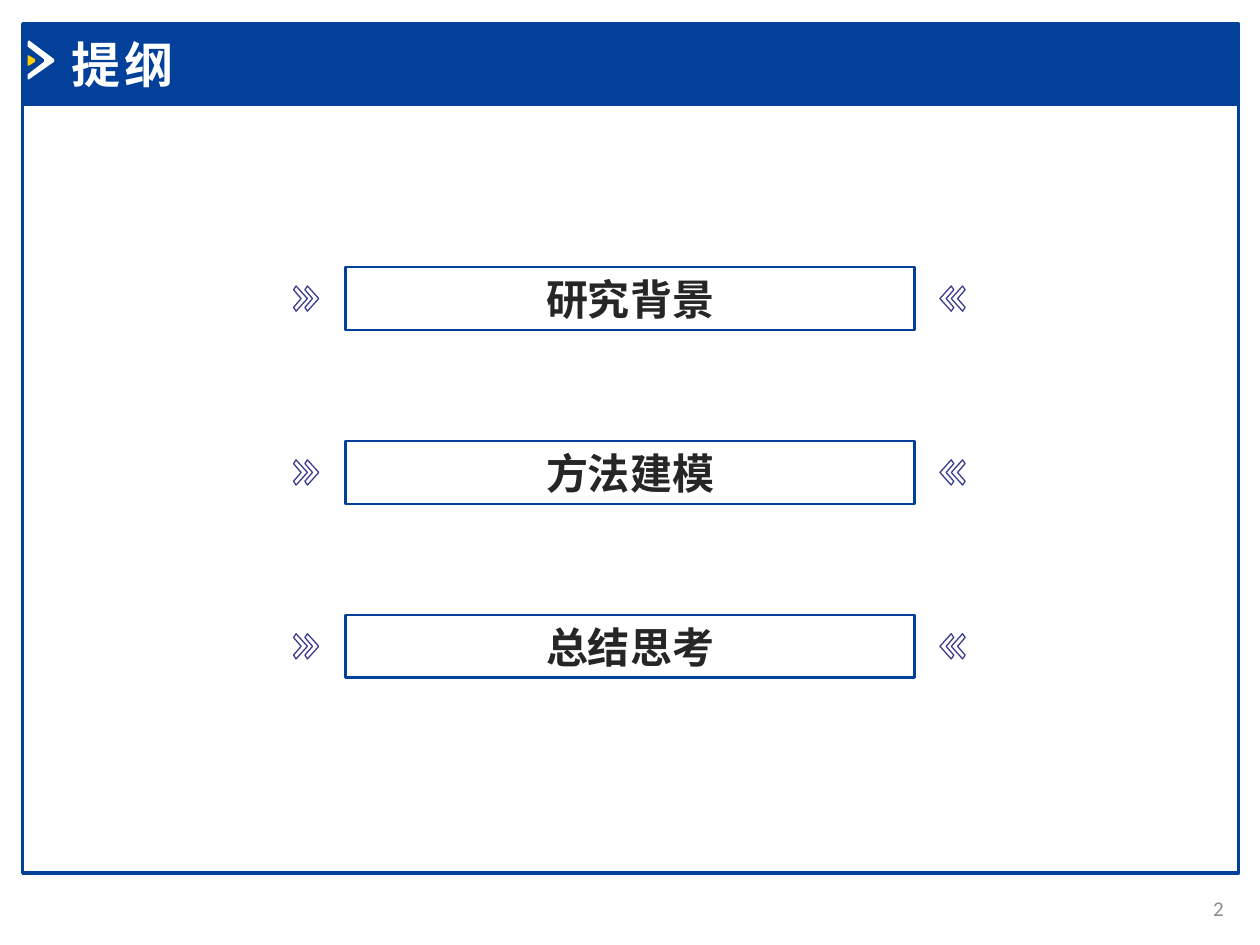
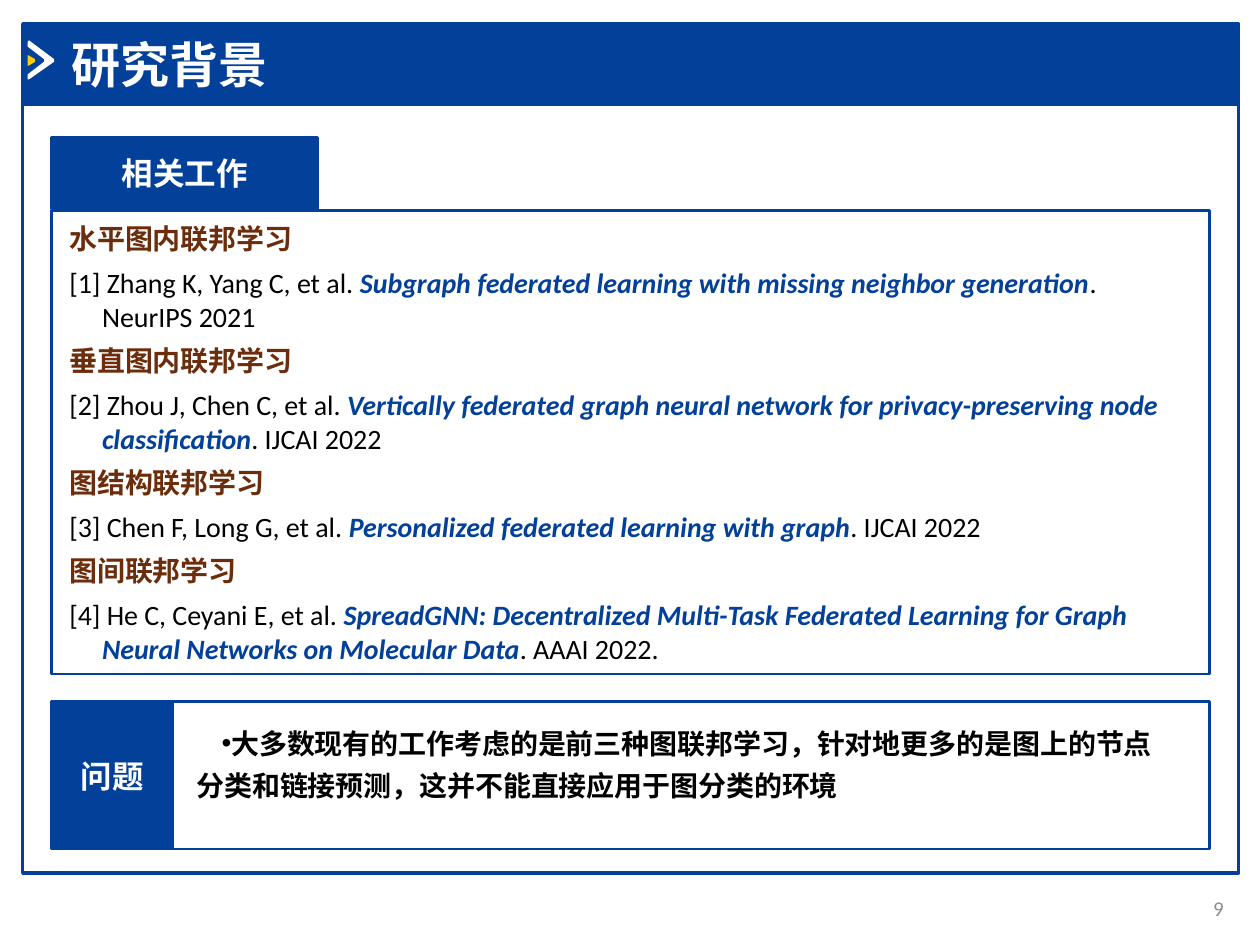
from pptx import Presentation
from pptx.dml.color import RGBColor
from pptx.enum.shapes import MSO_SHAPE
from pptx.enum.text import MSO_ANCHOR as ANCHOR, MSO_AUTO_SIZE as AUTO, PP_ALIGN as ALIGN
from pptx.oxml.ns import qn
from pptx.util import Inches, Pt
from lxml import etree

BLUE, WHITE, YELLOW, BROWN = "02409A", "FFFFFF", "FFCC00", "6B2D0B"
INK, GREY, BLACK, VIOLET = "262626", "8C8C8C", "000000", "3C3C8E"
LATIN, CJK = "Calibri", "Noto Sans CJK SC"
RECT = MSO_SHAPE.RECTANGLE


def paint(sp, fill=None, line=None, width=1.5):
    sp.shadow.inherit = False
    for part, color in ((sp.fill, fill), (sp.line.fill, line)):
        if color:
            part.solid()
            part.fore_color.rgb = RGBColor.from_string(color)
        else:
            part.background()
    if line:
        sp.line.width = Pt(width)
    return sp


def write(p, text, color, size, name=LATIN, **fmt):
    r = p.add_run()
    r.text = text
    for key, value in dict(fmt, name=name, size=Pt(size)).items():
        setattr(r.font, key, value)
    r.font.color.rgb = RGBColor.from_string(color)
    etree.SubElement(r.font._element, qn("a:ea"), typeface=CJK)
    return r


prs = Presentation()
prs.slide_width, prs.slide_height = Inches(10), Inches(7.5)
outline = prs.slides.add_slide(prs.slide_layouts[5])
background = prs.slides.add_slide(prs.slide_layouts[1])

frame = []
for top, height, fill in ((0.83, 6.1, None), (0.19, 0.64, BLUE)):
    sp = outline.shapes.add_shape(RECT, *map(Inches, (0.18, top, 9.65, height)))
    frame.append(paint(sp, fill, BLUE, 2))
big_arrow = [(0.22, 0.33), (0.23, 0.32), (0.43, 0.47), (0.43, 0.49), (0.23, 0.63),
             (0.22, 0.63), (0.22, 0.59), (0.35, 0.49), (0.35, 0.47), (0.22, 0.37)]
small_arrow = [(0.22, 0.44), (0.23, 0.44), (0.28, 0.47), (0.28, 0.49), (0.23, 0.52), (0.22, 0.52)]
for outline_points, fill in ((big_arrow, WHITE), (small_arrow, YELLOW)):
    pts = [(Inches(x), Inches(y)) for x, y in outline_points]
    fb = outline.shapes.build_freeform(*pts[0])
    fb.add_line_segments(pts[1:])
    frame.append(paint(fb.convert_to_shape(), fill))
for i, sp in enumerate(frame):
    sp.element.xpath(".//p:cNvPr")[0].set("id", str(100 + i))
    prs.slide_master.shapes.element.insert(2 + i, sp.element)

for s, title, width, font, spacing, number in (
    (outline, "提纲", 3.56, LATIN, 200, "2"),
    (background, "研究背景", 4.98, "Arial", -10, "9"),
):
    sp = s.shapes.title
    sp.left, sp.top, sp.width, sp.height = map(Inches, (0.47, 0.22, width, 0.57))
    tf = sp.text_frame
    tf.auto_size, tf.vertical_anchor = AUTO.NONE, ANCHOR.MIDDLE
    p = tf.paragraphs[0]
    p.alignment = ALIGN.LEFT
    r = write(p, title, WHITE, 28, font, bold=True)
    r.font._element.set("spc", str(spacing))

    tf = s.shapes.add_textbox(*map(Inches, (9.22, 7.01, 0.59, 0.4))).text_frame
    tf.word_wrap, tf.vertical_anchor = True, ANCHOR.MIDDLE
    p = tf.paragraphs[0]
    p.alignment = ALIGN.RIGHT
    write(p, number, GREY, 12)

chevron = [(0.02, 0), (0, 0.03), (0.06, 0.1), (0, 0.17), (0.02, 0.2), (0.11, 0.1)]
for i, topic in enumerate(("研究背景", "方法建模", "总结思考")):
    top = 2.12 + 1.38 * i
    sp = paint(outline.shapes.add_shape(RECT, *map(Inches, (2.74, top, 4.52, 0.5))), None, BLUE)
    tf = sp.text_frame
    tf.vertical_anchor = ANCHOR.MIDDLE
    p = tf.paragraphs[0]
    p.alignment = ALIGN.CENTER
    write(p, topic, INK, 24, CJK, bold=True)
    for left in (2.33, 2.42):
        for mirrored in (False, True):
            pts = [(Inches(9.99 - left - x if mirrored else left + x), Inches(top + 0.15 + y))
                   for x, y in chevron]
            fb = outline.shapes.build_freeform(*pts[0])
            fb.add_line_segments(pts[1:])
            paint(fb.convert_to_shape(), None, VIOLET, 0.75)

for at, label in (
    ((0.41, 1.67, 9.19, 3.68), None),
    ((0.41, 1.09, 2.11, 0.57), "相关工作"),
    ((0.41, 5.57, 0.96, 1.17), "问题"),
    ((1.37, 5.57, 8.23, 1.17), None),
):
    sp = background.shapes.add_shape(RECT, *map(Inches, at))
    paint(sp, BLUE if label else None, BLUE)
    if label:
        tf = sp.text_frame
        tf.vertical_anchor = ANCHOR.MIDDLE
        p = tf.paragraphs[0]
        p.alignment = ALIGN.CENTER
        write(p, label, WHITE, 18, bold=True)

works = (
    ("水平图内联邦学习", "[1] Zhang K, Yang C, et al. ",
     "Subgraph federated learning with missing neighbor generation", ". NeurIPS 2021"),
    ("垂直图内联邦学习", "[2] Zhou J, Chen C, et al. ",
     "Vertically federated graph neural network for privacy-preserving node classification",
     ". IJCAI 2022"),
    ("图结构联邦学习", "[3] Chen F, Long G, et al. ",
     "Personalized federated learning with graph", ". IJCAI 2022"),
    ("图间联邦学习", "[4] He C, Ceyani E, et al. ",
     "SpreadGNN: Decentralized Multi-Task Federated Learning for Graph Neural Networks"
     " on Molecular Data", ". AAAI 2022."),
)
body = background.placeholders[1]
body.left, body.top, body.width, body.height = map(Inches, (0.45, 1.71, 8.93, 3.56))
tf = body.text_frame
tf.auto_size, tf.vertical_anchor = AUTO.NONE, ANCHOR.TOP
for i, (heading, authors, paper, venue) in enumerate(works):
    p = tf.add_paragraph() if i else tf.paragraphs[0]
    p.space_before, p.space_after = Pt(6 if i else 0), Pt(6)
    write(p, heading, BROWN, 16, CJK, bold=True)
    p = tf.add_paragraph()
    p.space_before = p.space_after = Pt(0)
    write(p, authors, BLACK, 16)
    write(p, paper, BLUE, 16, bold=True, italic=True)
    write(p, venue, BLACK, 16)
for p in tf.paragraphs:
    pPr = p._p.get_or_add_pPr()
    pPr.set("marL", str(Inches(0.26)))
    pPr.set("indent", str(Inches(-0.26)))
    etree.SubElement(pPr, qn("a:buNone"))

tf = background.shapes.add_textbox(*map(Inches, (1.46, 5.65, 7.99, 1.02))).text_frame
tf.word_wrap = True
p = tf.paragraphs[0]
p.line_spacing = 1.25
pPr = p._p.get_or_add_pPr()
pPr.set("marL", "0")
pPr.set("indent", str(Inches(0.2)))
etree.SubElement(pPr, qn("a:buFont"), typeface="Arial")
etree.SubElement(pPr, qn("a:buChar"), char="•")
write(p, "大多数现有的工作考虑的是前三种图联邦学习，针对地更多的是图上的节点分类和链接预测，"
         "这并不能直接应用于图分类的环境", BLACK, 16, bold=True)

prs.save("out.pptx")
